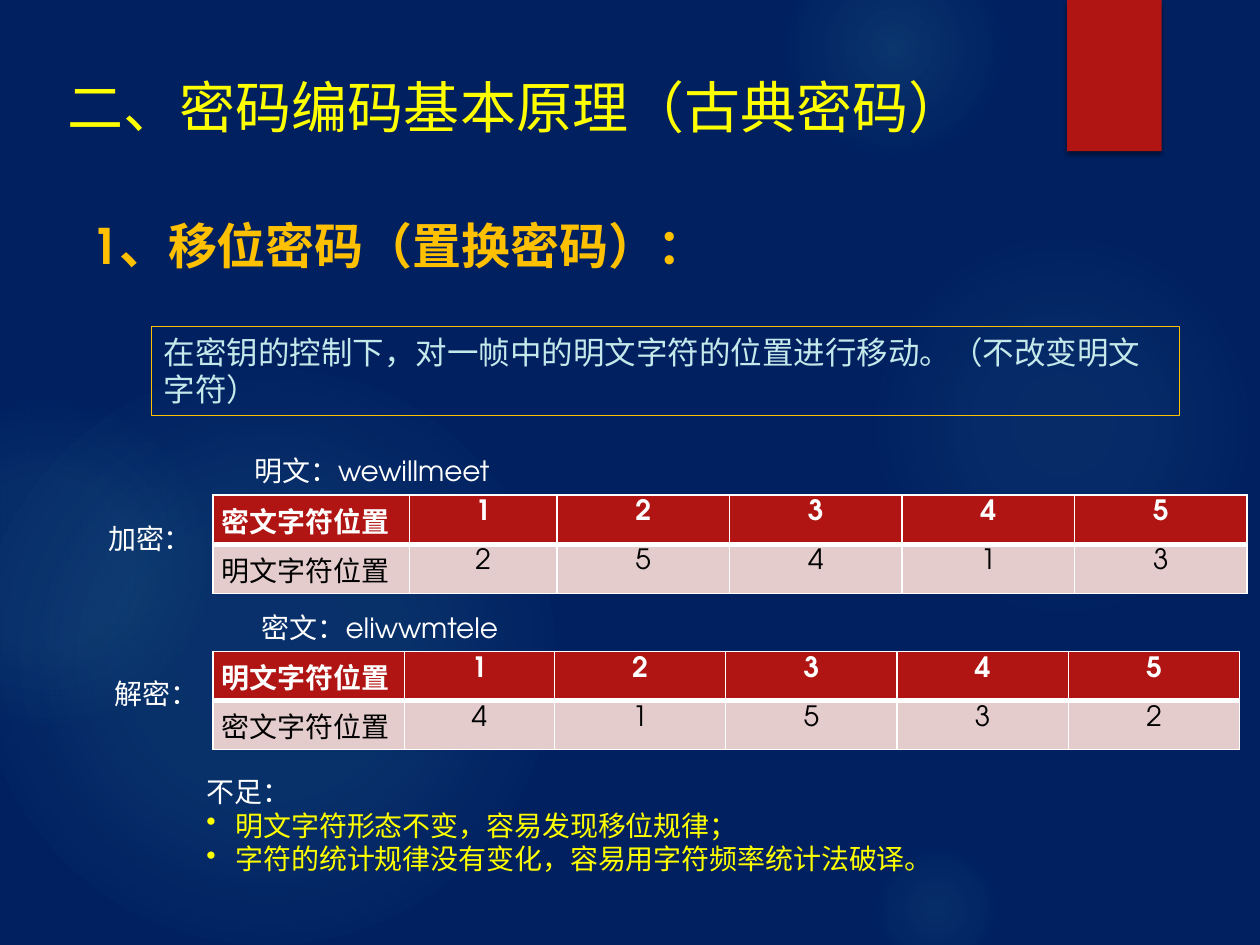
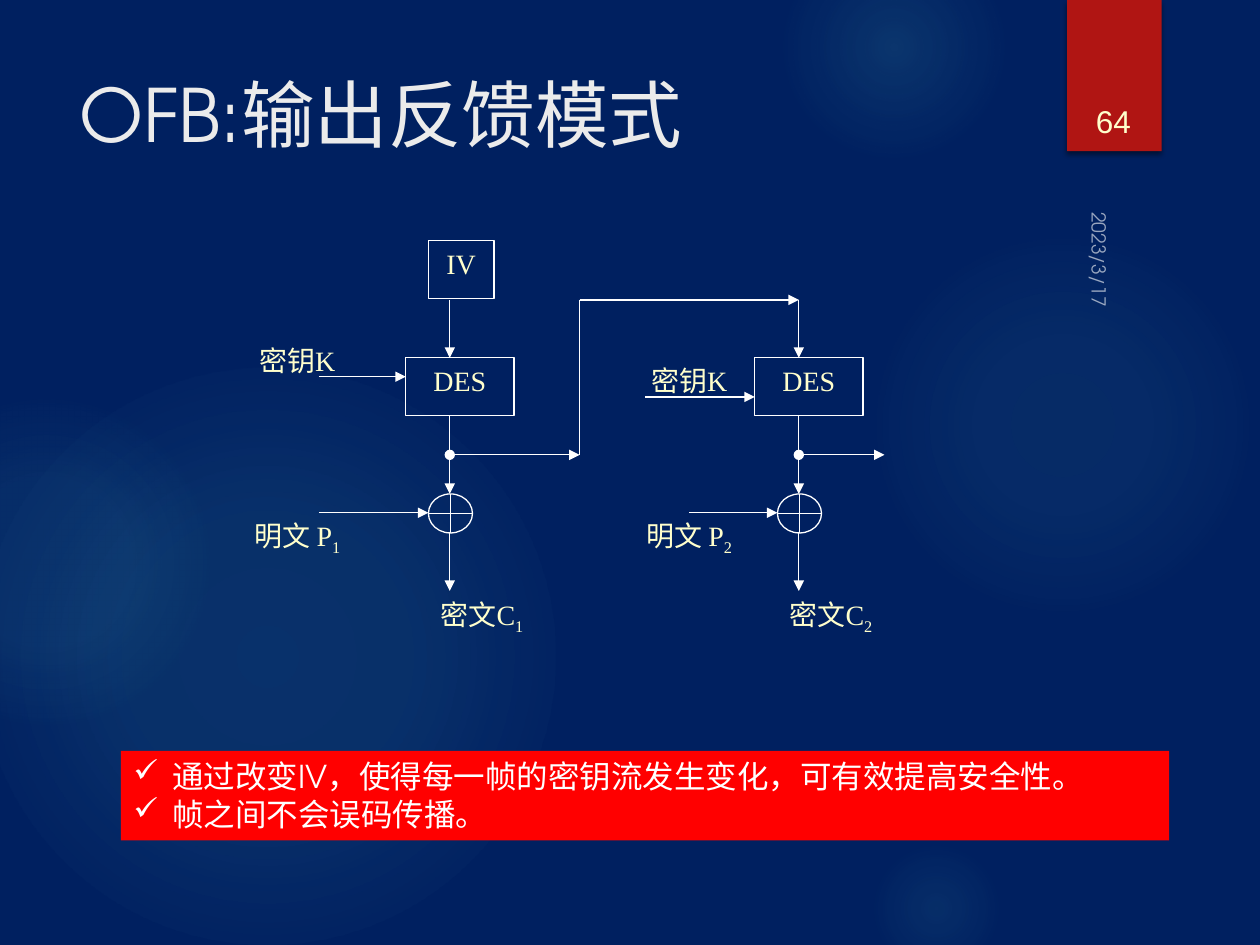
from dataclasses import dataclass, replace

from lxml import etree
from pptx import Presentation
from pptx.dml.color import RGBColor
from pptx.enum.shapes import MSO_CONNECTOR, MSO_SHAPE
from pptx.enum.text import MSO_ANCHOR, MSO_AUTO_SIZE, PP_ALIGN
from pptx.oxml import parse_xml
from pptx.oxml.ns import nsdecls, qn
from pptx.util import Inches, Pt

NAVY = RGBColor(0x00, 0x20, 0x60)
CRIMSON = RGBColor(0xB0, 0x15, 0x13)
RED = RGBColor(0xFF, 0x00, 0x00)
WHITE = RGBColor(0xFF, 0xFF, 0xFF)
BLACK = RGBColor(0x00, 0x00, 0x00)
OFF_WHITE = RGBColor(0xEB, 0xEB, 0xEB)
YELLOW = RGBColor(0xFF, 0xFF, 0x00)
AMBER = RGBColor(0xFF, 0xC0, 0x00)
CREAM = RGBColor(0xFF, 0xFF, 0xCC)
PALE_CYAN = RGBColor(0xC5, 0xE8, 0xEA)
PALE_ROSE = RGBColor(0xE4, 0xCC, 0xCC)
GLOW = RGBColor(0x50, 0xB9, 0xC1)

# Background glows: left, top, diameter, then (stop %, opacity %)
GLOWS = [
    (6.89, 1.83, 3.08, [(0, 7), (36, 6), (69, 0)]),
    (6.22, -0.5, 1.75, [(0, 14), (36, 7), (73, 0)]),
    (6.89, 6.67, 1.08, [(0, 9), (36, 5), (66, 0)]),
    (-0.17, 2.92, 4.58, [(0, 11), (36, 10), (75, 0)]),
    (-0.92, 3.17, 2.58, [(0, 8), (36, 8), (72, 0)]),
]


@dataclass(frozen=True)
class Type:
    """How a paragraph is set."""
    size: float = 16
    color: RGBColor = WHITE
    font: str = "TeX Gyre Adventor"
    bold: bool = False
    align: PP_ALIGN = PP_ALIGN.LEFT
    bullet: str = ""
    indent: float = 0
    space: float = 0


LABEL = Type()
CENTERED = Type(align=PP_ALIGN.CENTER)
DIAGRAM = Type(color=CREAM, font="Times New Roman", align=PP_ALIGN.CENTER)


class Deck:
    def __init__(self):
        self.prs = Presentation()
        self.prs.slide_width, self.prs.slide_height = Inches(10), Inches(7.5)
        self.s = None

    # Slide with the shared background and ribbon
    def new_slide(self):
        self.s = self.prs.slides.add_slide(self.prs.slide_layouts[6])
        fill = self.s.background.fill
        fill.solid()
        fill.fore_color.rgb = NAVY
        for x, y, size, stops in GLOWS:
            self.glow(x, y, size, stops)
        ribbon = self.shape(MSO_SHAPE.RECTANGLE, 8.47, 0, 0.75, 1.2, fill=CRIMSON)
        effects = ribbon._element.spPr.find(qn("a:effectLst"))
        effects.append(parse_xml(
            f'<a:outerShdw {nsdecls("a")} blurRad="{Pt(3)}" dist="{Pt(2)}" dir="5400000" '
            'rotWithShape="0"><a:srgbClr val="000000"><a:alpha val="45000"/></a:srgbClr>'
            '</a:outerShdw>'))

    def glow(self, x, y, size, stops):
        sp = self.shape(MSO_SHAPE.OVAL, x, y, size, size)
        gs = "".join(
            f'<a:gs pos="{pos * 1000}"><a:srgbClr val="{GLOW}">'
            f'<a:alpha val="{alpha * 1000}"/></a:srgbClr></a:gs>' for pos, alpha in stops)
        grad = parse_xml(
            f'<a:gradFill {nsdecls("a")} rotWithShape="1"><a:gsLst>{gs}</a:gsLst>'
            '<a:path path="circle"><a:fillToRect l="50000" t="50000" r="50000" b="50000"/>'
            '</a:path></a:gradFill>')
        spPr = sp._element.spPr
        spPr.replace(spPr.find(qn("a:noFill")), grad)

    # Text: each paragraph is (type, run, run...); a run after the first is a subscript
    def add_paragraphs(self, tf, paras):
        for i, (kind, *runs) in enumerate(paras):
            p = tf.paragraphs[0] if i == 0 else tf.add_paragraph()
            p.alignment = kind.align
            if kind.space:
                p.space_before = p.space_after = Pt(kind.space)
            if kind.bullet:
                pPr = p._p.get_or_add_pPr()
                pPr.set("marL", str(Inches(kind.indent)))
                pPr.set("indent", str(-Inches(kind.indent)))
                etree.SubElement(pPr, qn("a:buChar")).set("char", kind.bullet)
            for j, text in enumerate(runs):
                r = p.add_run()
                r.text = text
                r.font.name, r.font.size = kind.font, Pt(kind.size)
                r.font.bold, r.font.color.rgb = kind.bold, kind.color
                if j:
                    r._r.get_or_add_rPr().set("baseline", "-25000")

    def text(self, x, y, w, h, *paras, wrap=True, anchor=MSO_ANCHOR.TOP):
        sp = self.s.shapes.add_textbox(Inches(x), Inches(y), Inches(w), Inches(h))
        tf = sp.text_frame
        tf.word_wrap, tf.vertical_anchor = wrap, anchor
        if not wrap:
            tf.auto_size = MSO_AUTO_SIZE.SHAPE_TO_FIT_TEXT
        self.add_paragraphs(tf, paras)
        return sp

    def shape(self, preset, x, y, w, h, *paras, fill=None, line=None):
        sp = self.s.shapes.add_shape(preset, Inches(x), Inches(y), Inches(w), Inches(h))
        sp.shadow.inherit = False
        if fill is None:
            sp.fill.background()
        else:
            sp.fill.solid()
            sp.fill.fore_color.rgb = fill
        if line is None:
            sp.line.fill.background()
        else:
            sp.line.color.rgb, sp.line.width = line, Pt(0.75)
        tf = sp.text_frame
        tf.word_wrap, tf.vertical_anchor = True, MSO_ANCHOR.TOP
        if paras:
            self.add_paragraphs(tf, paras)
        return sp

    def line(self, x1, y1, x2, y2, head=None, tail="triangle"):
        c = self.s.shapes.add_connector(
            MSO_CONNECTOR.STRAIGHT, Inches(x1), Inches(y1), Inches(x2), Inches(y2))
        c.line.color.rgb, c.line.width = WHITE, Pt(0.75)
        ln = c._element.spPr.find(qn("a:ln"))
        for tag, end in (("a:headEnd", head), ("a:tailEnd", tail)):
            if end:
                etree.SubElement(ln, qn(tag)).set("type", end)
        etree.SubElement(c._element.spPr, qn("a:effectLst"))

    # Table with a crimson header row over a pale row
    def table(self, x, y, widths, rows, row_height=0.39):
        frame = self.s.shapes.add_table(
            len(rows), len(widths), Inches(x), Inches(y),
            Inches(sum(widths)), Inches(row_height * len(rows)))
        tbl = frame.table
        for col, w in zip(tbl.columns, widths):
            col.width = Inches(w)
        for i, (label, digits) in enumerate(rows):
            tbl.rows[i].height = Inches(row_height)
            header = i == 0
            color = WHITE if header else BLACK
            for j, value in enumerate([label, *digits]):
                cell = tbl.cell(i, j)
                cell.margin_left = cell.margin_right = Inches(0.07)
                cell.margin_top = cell.margin_bottom = Inches(0.04)
                kind = replace(CENTERED if j else LABEL, color=color, bold=header)
                self.add_paragraphs(cell.text_frame, [(kind, value)])
                self.borders(cell, top=1 if header else 3, bottom=3 if header else 1)
                cell.fill.solid()
                cell.fill.fore_color.rgb = CRIMSON if header else PALE_ROSE

    def borders(self, cell, top, bottom):
        tcPr = cell._tc.get_or_add_tcPr()
        for side, width in (("L", 1), ("R", 1), ("T", top), ("B", bottom)):
            tcPr.append(parse_xml(
                f'<a:ln{side} {nsdecls("a")} w="{Pt(width)}"><a:solidFill>'
                f'<a:srgbClr val="{WHITE}"/></a:solidFill></a:ln{side}>'))


def shift_cipher(d):
    d.new_slide()
    d.text(0.44, 0.53, 7.72, 0.83, (Type(32, YELLOW), "二、密码编码基本原理（古典密码）"))
    d.text(0.63, 1.66, 7.34, 0.63, (Type(28, AMBER, bold=True), "1、移位密码（置换密码）："))

    # Encryption and decryption tables
    d.table(1.69, 3.93, [1.56, 1.17] + [1.37] * 4,
            [("密文字符位置", "12345"), ("明文字符位置", "25413")])
    d.table(1.69, 5.17, [1.52, 1.19] + [1.36] * 4,
            [("明文字符位置", "12345"), ("密文字符位置", "41532")])
    for x, y, w, label in [
        (1.92, 3.55, 2.17, "明文：wewillmeet"),
        (1.98, 4.8, 2.17, "密文：eliwwmtele"),
        (0.76, 4.09, 0.88, "加密："),
        (0.81, 5.32, 0.88, "解密："),
    ]:
        d.text(x, y, w, 0.37, (LABEL, label), wrap=False)

    # Weaknesses
    weakness = Type(color=YELLOW, bullet="•", indent=0.23)
    d.text(1.54, 6.1, 6.05, 0.91,
           (LABEL, "不足："),
           (weakness, "明文字符形态不变，容易发现移位规律；"),
           (weakness, "字符的统计规律没有变化，容易用字符频率统计法破译。"), wrap=False)

    # Definition
    d.shape(MSO_SHAPE.RECTANGLE, 1.2, 2.59, 8.16, 0.71,
            (Type(18, PALE_CYAN),
             "在密钥的控制下，对一帧中的明文字符的位置进行移动。（不改变明文字符）"), line=AMBER)


def ofb_stage(d, n, x, label_x, key_y, key_x, plain_x, feedback_x):
    """One DES block with its key, plaintext, XOR and ciphertext."""
    mid, xor_x = x + 0.35, x + 0.18
    d.text(label_x, key_y - 0.31, 1.04, 0.46, (DIAGRAM, "密钥K"))
    d.text(label_x, 4.07, 1.04, 0.46, (DIAGRAM, "明文 P", n))
    d.text(x, 4.69, 1.21, 0.62, (replace(DIAGRAM, space=7.8), "密文C", n))
    d.shape(MSO_SHAPE.RECTANGLE, x, 2.84, 0.86, 0.46, (DIAGRAM, "DES"), line=WHITE)
    d.shape(MSO_SHAPE.FLOWCHART_OR, xor_x, 3.92, 0.35, 0.31, line=WHITE)
    d.line(key_x, key_y, x, key_y)
    d.line(plain_x, 4.07, xor_x, 4.07)
    for top, bottom in [(2.38, 2.84), (3.3, 3.92), (4.22, 4.69)]:
        d.line(mid, top, mid, bottom)
    d.line(mid, 3.61, feedback_x, 3.61, head="oval")


def ofb_mode(d):
    d.new_slide()

    # Date and slide number
    date = d.text(8.2, 2, 1.08, 0.25, (Type(11), "2023/3/17"))
    date.rotation = 90
    color = date._element.find(".//" + qn("a:rPr")).find(".//" + qn("a:srgbClr"))
    etree.SubElement(color, qn("a:alpha")).set("val", "60000")
    d.text(8.49, 0.32, 0.69, 0.84, (Type(18, CREAM, "Arial", align=PP_ALIGN.CENTER), "64"),
           anchor=MSO_ANCHOR.BOTTOM)
    d.text(0.53, 0.5, 7.72, 1.53, (Type(42, OFF_WHITE), "OFB:输出反馈模式"))

    # Two chained stages
    d.shape(MSO_SHAPE.RECTANGLE, 3.4, 1.91, 0.52, 0.46, (DIAGRAM, "IV"), line=WHITE)
    ofb_stage(d, "1", 3.22, 1.84, 2.99, 2.53, 2.53, 4.6)
    ofb_stage(d, "2", 5.99, 4.95, 3.15, 5.12, 5.47, 7.02)
    d.line(4.6, 2.38, 4.6, 3.61, tail=None)
    d.line(4.6, 2.38, 6.34, 2.38)

    # Conclusions
    check = Type(18, bullet="✓", indent=0.31)
    d.shape(MSO_SHAPE.RECTANGLE, 0.96, 5.96, 8.32, 0.71,
            (check, "通过改变IV，使得每一帧的密钥流发生变化，可有效提高安全性。"),
            (check, "帧之间不会误码传播。"), fill=RED)


def main():
    d = Deck()
    shift_cipher(d)
    ofb_mode(d)
    d.prs.save("out.pptx")


if __name__ == "__main__":
    main()
